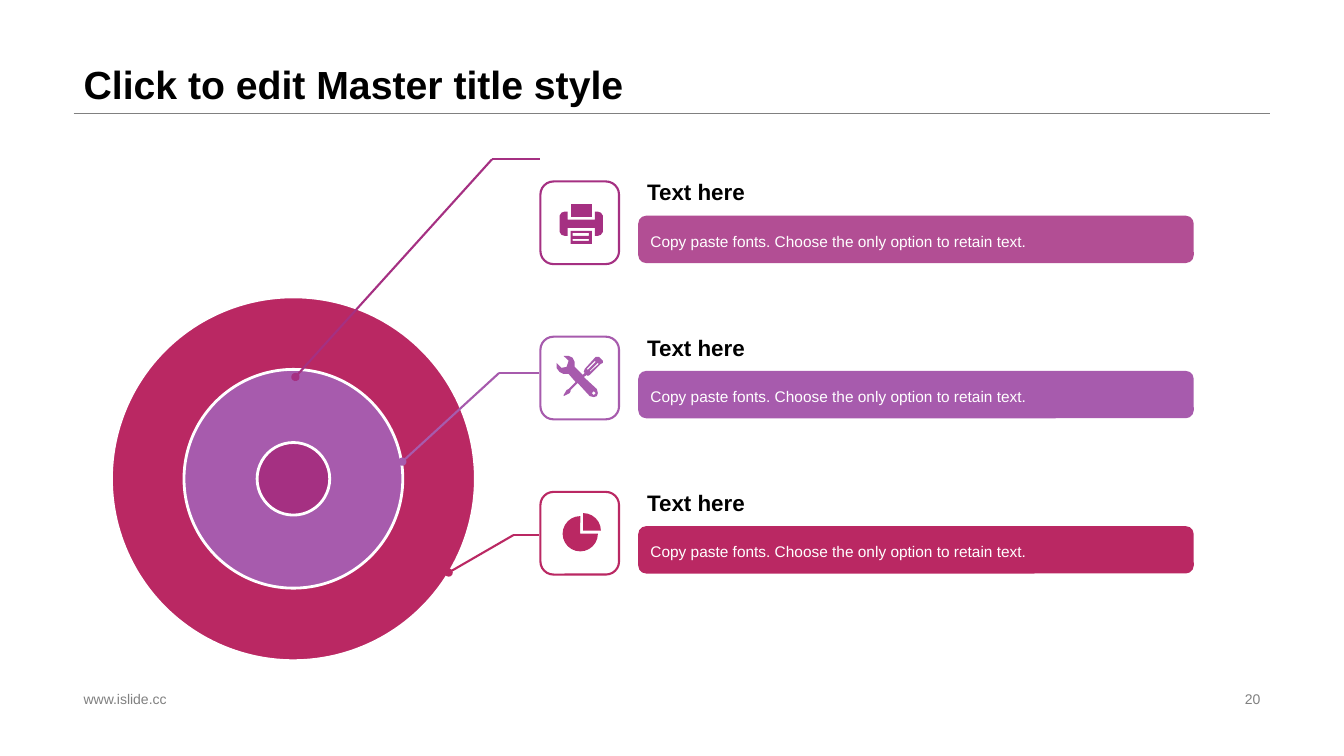
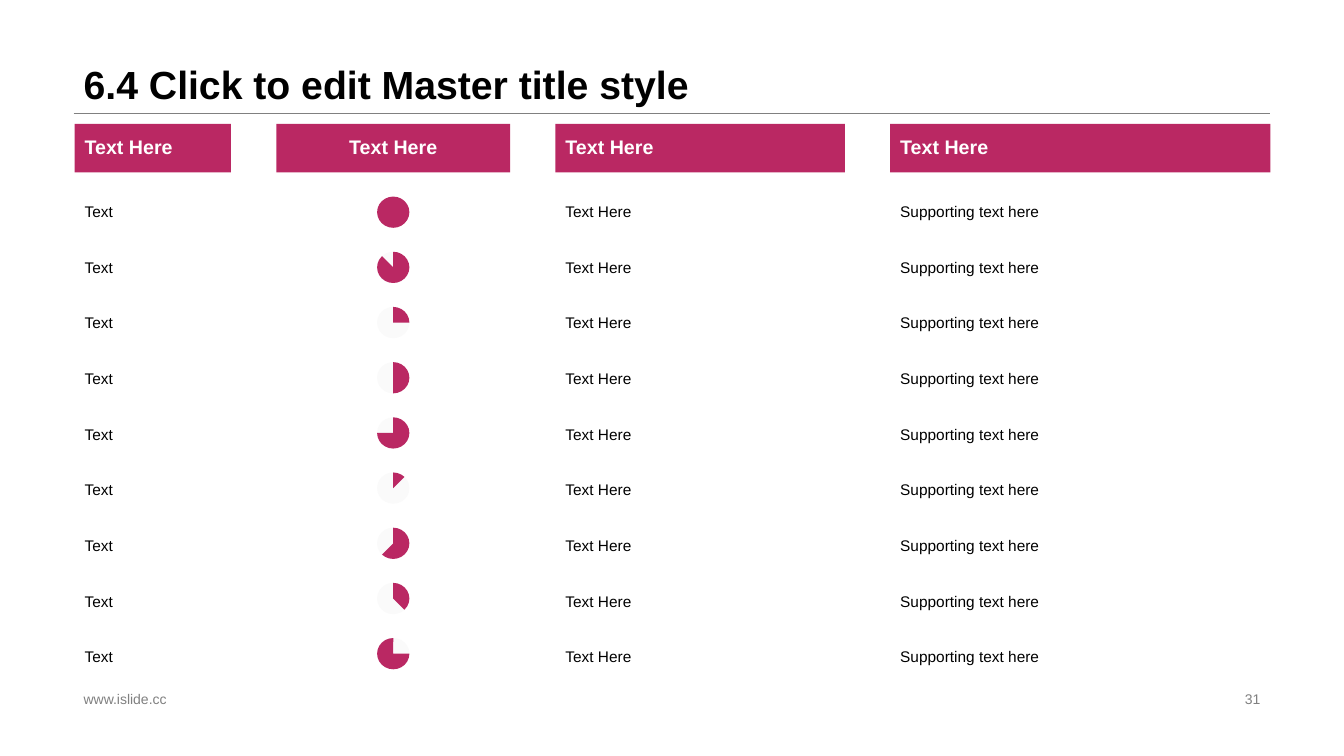
from copy import deepcopy
from dataclasses import dataclass

from lxml.etree import SubElement
from pptx import Presentation
from pptx.dml.color import RGBColor
from pptx.enum.shapes import MSO_CONNECTOR, MSO_SHAPE
from pptx.enum.text import MSO_ANCHOR, MSO_AUTO_SIZE, PP_ALIGN
from pptx.oxml.ns import qn
from pptx.shapes.connector import Connector
from pptx.util import Inches, Pt


@dataclass(frozen=True)
class Theme:
    font: str = "Arial"
    rose: str = "BA2863"
    plum: str = "A53082"
    lilac: str = "A75BAD"
    white: str = "FFFFFF"
    pale: str = "FAFAFA"
    black: str = "000000"
    gray: str = "808080"
    title: int = 28
    head: int = 16
    label: int = 14
    body: int = 11
    foot: int = 10


theme = Theme()


def paint(shape, fill, line=None, width=1.5):
    shape.shadow.inherit = False
    shape.fill.solid()
    shape.fill.fore_color.rgb = RGBColor.from_string(fill)
    if line:
        shape.line.color.rgb = RGBColor.from_string(line)
        shape.line.width = Pt(width)
    else:
        shape.line.fill.background()
    return shape


def write(shape, text, size, color, bold=False, align=PP_ALIGN.LEFT,
          spacing=1.0, anchor=MSO_ANCHOR.MIDDLE):
    frame = shape.text_frame
    frame.text = text
    frame.word_wrap = True
    frame.auto_size = MSO_AUTO_SIZE.NONE
    frame.vertical_anchor = anchor
    para = frame.paragraphs[0]
    para.alignment = align
    para.line_spacing = spacing
    font = para.runs[0].font
    font.name, font.size, font.bold = theme.font, Pt(size), bold
    font.color.rgb = RGBColor.from_string(color)


deck = Presentation()
deck.slide_width, deck.slide_height = Inches(13.33), Inches(7.5)

# Shared layout: title, footer, page number, rule
layout = deck.slide_layouts[5]
holders = {p.placeholder_format.idx: p for p in layout.placeholders}
places = {0: (0.73, 0, 11.87, 1.12),
          11: (0.73, 6.82, 4.53, 0.23),
          12: (9.42, 6.82, 3.18, 0.23)}
for idx, place in places.items():
    holder = holders[idx]
    holder.left, holder.top, holder.width, holder.height = map(Inches, place)

for title, page in (("Click to edit Master title style", "20"),
                    ("6.4 Click to edit Master title style", "31")):
    slide = deck.slides.add_slide(layout)
    write(slide.shapes.title, title, theme.title, theme.black, True,
          spacing=0.9, anchor=MSO_ANCHOR.BOTTOM)
    for idx, text, align in ((11, "www.islide.cc", PP_ALIGN.LEFT),
                             (12, page, PP_ALIGN.RIGHT)):
        slide.shapes._spTree.append(deepcopy(holders[idx]._element))
        write(slide.placeholders[idx], text, theme.foot, theme.gray, align=align)

target, grid = deck.slides
rule = target.shapes.add_connector(MSO_CONNECTOR.STRAIGHT, Inches(0.73),
                                   Inches(1.12), Inches(12.6), Inches(1.12))
rule.line.color.rgb = RGBColor.from_string(theme.gray)
rule.line.width = Pt(0.25)
layout.shapes._spTree.append(rule._element)

# Target slide: rings around one centre
for size, color in ((3.61, theme.rose), (2.17, theme.lilac), (0.72, theme.plum)):
    ring = target.shapes.add_shape(
        MSO_SHAPE.OVAL, Inches(2.91 - size / 2), Inches(4.75 - size / 2),
        Inches(size), Inches(size))
    paint(ring, color, theme.white, 2)

# Callouts: colour, elbow, line end, ring point
callouts = (
    (theme.plum, (4.88, 1.58), (5.36, 1.58), (2.93, 3.74)),
    (theme.lilac, (4.95, 3.7), (5.35, 3.7), (3.99, 4.58)),
    (theme.rose, (5.09, 5.31), (5.35, 5.31), (4.45, 5.68)),
)
for row, (color, elbow, edge, dot) in enumerate(callouts):
    top = 2.14 + 1.54 * row
    for end in (edge, dot):
        lead = target.shapes.add_connector(
            MSO_CONNECTOR.STRAIGHT, *map(Inches, elbow + end))
        lead.line.color.rgb = RGBColor.from_string(color)
        lead.line.width = Pt(1.5)
    SubElement(lead._element.spPr.find(qn("a:ln")), qn("a:tailEnd"), type="oval")

    frame = target.shapes.add_shape(
        MSO_SHAPE.ROUNDED_RECTANGLE, Inches(5.36), Inches(top - 0.34),
        Inches(0.78), Inches(0.82))
    paint(frame, theme.white, color)
    bar = target.shapes.add_shape(
        MSO_SHAPE.ROUNDED_RECTANGLE, Inches(6.33), Inches(top),
        Inches(5.51), Inches(0.47))
    paint(bar, color)
    write(bar, "Copy paste fonts. Choose the only option to retain text.",
          theme.body, theme.white, spacing=1.2)
    if row == 0:
        tint = bar._element.spPr.find(qn("a:solidFill"))[0]
        SubElement(tint, qn("a:alpha"), val="85000")
    head = target.shapes.add_textbox(
        Inches(6.32), Inches(top - 0.46), Inches(5.52), Inches(0.45))
    write(head, "Text here", theme.head, theme.black, True)

# Icon outlines, in hundredths of an inch
sheet = (
    ((566, 229), (587, 229), (587, 242), (566, 242)),
    ((568, 231), (584, 231), (584, 234), (568, 234)),
    ((568, 237), (584, 237), (584, 239), (568, 239)),
)
paper = (((566, 202), (587, 202), (587, 215), (566, 215)),)
body = ((
    (560, 210), (563, 210), (563, 218), (590, 218), (590, 210), (593, 210),
    (596, 211), (598, 214), (598, 230), (596, 233), (593, 234), (590, 234),
    (590, 226), (563, 226), (563, 234), (560, 234), (557, 233), (555, 230),
    (555, 214), (557, 211)),)
tools = (
    ((598, 358), (594, 354), (591, 354), (590, 355), (580, 366), (579, 369),
     (580, 370), (578, 372), (570, 364), (570, 359), (568, 355), (564, 353),
     (559, 353), (564, 358), (562, 364), (557, 365), (552, 360), (552, 365),
     (555, 369), (559, 371), (564, 371), (571, 379), (564, 386), (562, 387),
     (559, 392), (559, 393), (565, 390), (566, 388), (566, 387), (573, 380),
     (585, 393), (589, 394), (592, 393), (593, 390), (592, 386), (579, 374),
     (582, 372), (583, 373), (585, 372), (596, 361), (598, 360)),
    ((589, 388), (591, 390), (589, 392), (587, 390)),
    ((583, 367), (582, 366), (590, 358), (591, 359)),
    ((585, 369), (585, 368), (593, 360), (594, 361)),
)
for icon, color in ((sheet, theme.plum), (paper, theme.plum),
                    (body, theme.plum), (tools, theme.lilac)):
    pen = target.shapes.build_freeform(*icon[0][0], scale=Inches(0.01))
    pen.add_line_segments(icon[0][1:])
    for hole in icon[1:]:
        pen.move_to(*hole[0])
        pen.add_line_segments(hole[1:])
    paint(pen.convert_to_shape(), color)

# Pie angles: 0.6 adjustment units to a degree
for left, top, start, end in ((5.58, 5.12, 0, 270), (5.61, 5.09, 270, 0)):
    wedge = target.shapes.add_shape(MSO_SHAPE.PIE, Inches(left), Inches(top),
                                    Inches(0.35), Inches(0.35))
    wedge.adjustments[0], wedge.adjustments[1] = start * 0.6, end * 0.6
    paint(wedge, theme.rose)

# Grid slide: headed columns and progress pies
columns = ((1.55, "Text"), (2.32, None), (2.87, "Text Here"),
           (3.77, "Supporting text here"))
slices = ((270, 8), (270, 7), (270, 2), (270, 4), (270, 6),
          (270, 1), (270, 5), (270, 3), (0, 6))  # start angle, eighths
left = 0.74
for width, text in columns:
    band = grid.shapes.add_shape(MSO_SHAPE.RECTANGLE, Inches(left), Inches(1.23),
                                 Inches(width), Inches(0.48))
    paint(band, theme.rose)
    write(band, "Text Here", theme.label, theme.white, True,
          PP_ALIGN.LEFT if text else PP_ALIGN.CENTER, 0.9)
    for row, (start, count) in enumerate(slices):
        if text:
            top = 1.94 + 4.42 / 8 * row
            cell = grid.shapes.add_textbox(Inches(left), Inches(top),
                                           Inches(width), Inches(0.31))
            write(cell, text, theme.body, theme.black)
            continue
        spot = (Inches(left + width / 2 - 0.16), Inches(1.95 + 4.38 / 8 * row),
                Inches(0.32), Inches(0.31))
        if count < 8:
            paint(grid.shapes.add_shape(MSO_SHAPE.OVAL, *spot), theme.pale)
        pie = grid.shapes.add_shape(MSO_SHAPE.PIE, *spot)
        pie.adjustments[0] = start * 0.6
        pie.adjustments[1] = (start + count * 45) % 360 * 0.6
        paint(pie, theme.rose)
    left += width + 0.45

for item in (*layout.shapes, *target.shapes):
    if isinstance(item, Connector):
        SubElement(item._element.spPr, qn("a:effectLst"))

deck.save("out.pptx")
